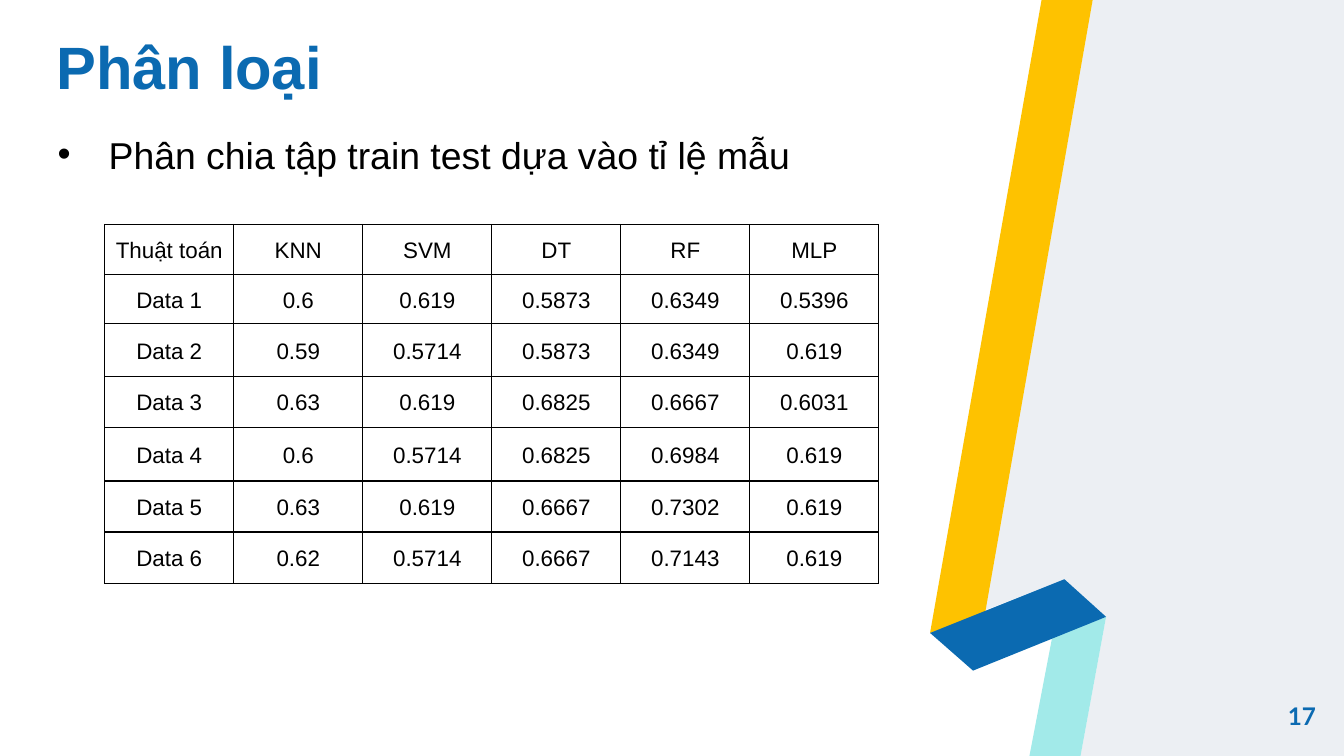
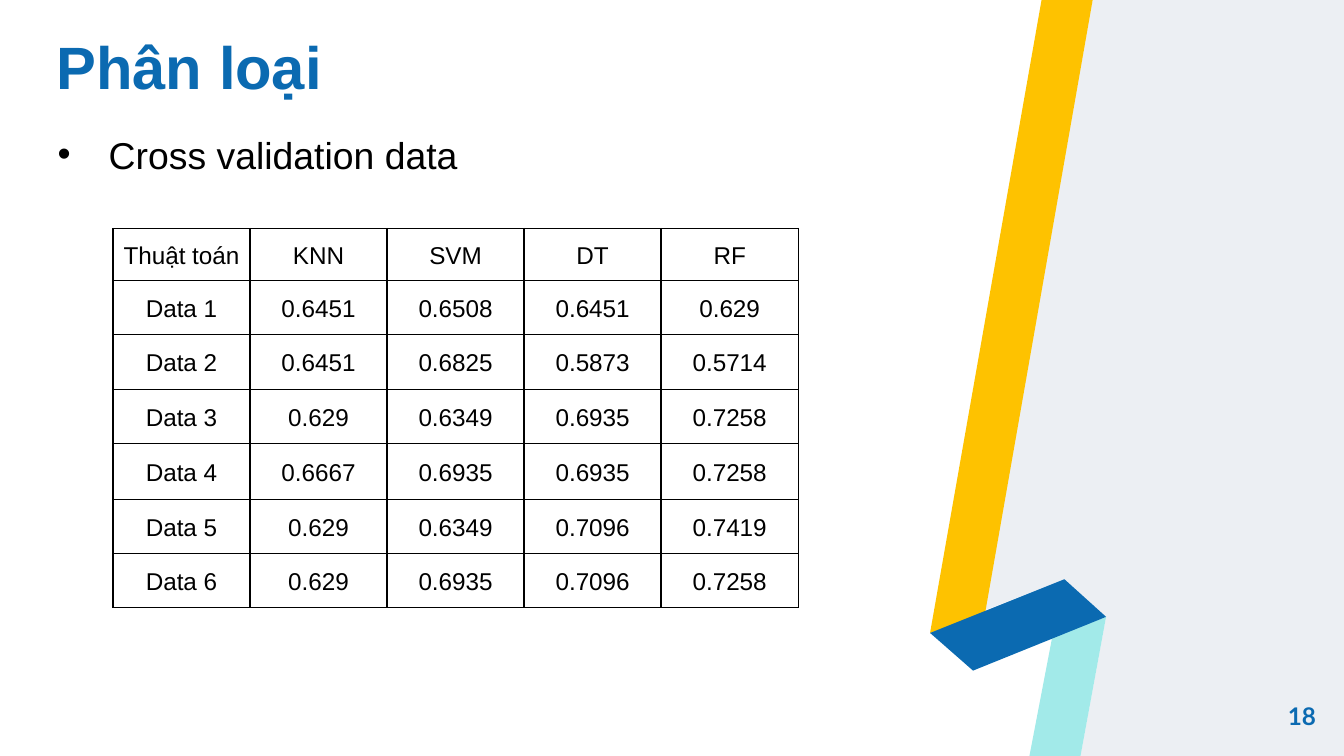
from dataclasses import dataclass

from lxml.etree import SubElement
from pptx import Presentation
from pptx.dml.color import RGBColor
from pptx.enum.text import MSO_ANCHOR, PP_ALIGN
from pptx.oxml import parse_xml
from pptx.oxml.ns import nsdecls, qn
from pptx.util import Inches, Pt


@dataclass(frozen=True)
class Theme:
    blue: str = "0B6AB1"
    yellow: str = "FEC200"
    aqua: str = "A2EAE9"
    pale: str = "ECEFF3"
    white: str = "FFFFFF"
    ink: str = "000000"
    body_font: str = "Arial"
    number_font: str = "Lato"
    title_size: int = 32
    bullet_size: int = 20
    number_size: int = 13
    border: float = 0.75


class Deck:
    def __init__(self, theme):
        self.theme = theme
        self.presentation = Presentation()
        self.presentation.slide_width = Inches(10)
        self.presentation.slide_height = Inches(5.625)
        self.slide = None

    def start_slide(self, title, number):
        theme = self.theme
        self.slide = self.presentation.slides.add_slide(self.presentation.slide_layouts[6])
        backdrop = self.slide.background.fill
        backdrop.solid()
        backdrop.fore_color.rgb = RGBColor.from_string(theme.white)
        self.ribbon()
        self.page_number(number)
        self.title(title)

    def ribbon(self):
        theme = self.theme
        bottom = 5.625
        fold_left, fold_top, fold_right = (6.92, 4.71), (7.92, 4.31), (8.23, 4.59)
        self.polygon(theme.pale, (8.13, 0), (7.33, 4.54), fold_top, fold_right,
                     (8.04, bottom), (10, bottom), (10, 0))
        self.polygon(theme.yellow, (7.75, 0), (8.13, 0), (7.33, 4.56), fold_left)
        self.polygon(theme.aqua, (7.66, bottom), (7.83, 4.74), fold_right, (8.04, bottom))
        self.polygon(theme.blue, fold_left, fold_top, fold_right, (7.24, 4.99))

    def polygon(self, color, *points):
        start, *rest = [(Inches(x), Inches(y)) for x, y in points]
        outline = self.slide.shapes.build_freeform(*start)
        outline.add_line_segments(rest)
        band = outline.convert_to_shape()
        band.shadow.inherit = False
        band.fill.solid()
        band.fill.fore_color.rgb = RGBColor.from_string(color)
        band.line.fill.background()

    def add_text(self, paragraph, text, size, color, font=None, bold=False):
        run = paragraph.add_run()
        run.text = text
        run.font.name = font or self.theme.body_font
        run.font.size = Pt(size)
        run.font.bold = bold
        run.font.color.rgb = RGBColor.from_string(color)

    def text_frame(self, left, top, width, height, anchor, margins=(0, 0, 0, 0)):
        box = self.slide.shapes.add_textbox(*map(Inches, (left, top, width, height)))
        frame = box.text_frame
        frame.word_wrap = True
        frame.vertical_anchor = anchor
        self.set_margins(frame, *margins)
        return frame

    def set_margins(self, holder, left, top, right, bottom):
        holder.margin_left, holder.margin_top = Inches(left), Inches(top)
        holder.margin_right, holder.margin_bottom = Inches(right), Inches(bottom)

    def title(self, text):
        theme = self.theme
        heading = self.text_frame(0.42, 0.32, 6.49, 0.43, MSO_ANCHOR.BOTTOM).paragraphs[0]
        heading.line_spacing = 0.8
        self.add_text(heading, text, theme.title_size, theme.blue, bold=True)

    def page_number(self, number):
        theme = self.theme
        footer = self.text_frame(9.19, 5.11, 0.6, 0.43, MSO_ANCHOR.MIDDLE).paragraphs[0]
        footer.alignment = PP_ALIGN.RIGHT
        self.add_text(footer, str(number), theme.number_size, theme.blue, theme.number_font, True)

    def bullet(self, text):
        theme = self.theme
        point = self.text_frame(0.33, 0.53, 8.69, 4.58, MSO_ANCHOR.TOP,
                                (0.1, 0.45, 0.1, 0.05)).paragraphs[0]
        properties = point._p.get_or_add_pPr()
        properties.set("marL", str(Inches(0.38)))
        properties.set("indent", str(Inches(-0.38)))
        bullet_color = SubElement(properties, qn("a:buClr"))
        SubElement(bullet_color, qn("a:srgbClr"), val=theme.ink)
        SubElement(properties, qn("a:buFont"), typeface=theme.body_font)
        SubElement(properties, qn("a:buChar"), char="•")
        self.add_text(point, text, theme.bullet_size, theme.ink)

    def table(self, left, top, column_width, row_heights, size, rows):
        columns = len(rows[0])
        frame = self.slide.shapes.add_table(
            len(rows), columns, Inches(left), Inches(top),
            Inches(column_width * columns), Inches(sum(row_heights)))
        table = frame.table
        table.first_row = table.horz_banding = False
        for column in table.columns:
            column.width = Inches(column_width)
        for row, height, values in zip(table.rows, row_heights, rows):
            row.height = Inches(height)
            for cell, value in zip(row.cells, values):
                self.fill_cell(cell, value, size)

    def fill_cell(self, cell, value, size):
        cell.fill.background()
        cell.vertical_anchor = MSO_ANCHOR.MIDDLE
        self.set_margins(cell, 0.07, 0, 0.07, 0)
        paragraph = cell.text_frame.paragraphs[0]
        paragraph.alignment = PP_ALIGN.CENTER
        paragraph.line_spacing = 1.1
        self.add_text(paragraph, value, size, self.theme.ink)
        properties = cell._tc.get_or_add_tcPr()
        for position, side in enumerate("LRTB"):
            properties.insert(position, parse_xml(
                f'<a:ln{side} {nsdecls("a")} w="{Pt(self.theme.border)}"><a:solidFill>'
                f'<a:srgbClr val="{self.theme.ink}"/></a:solidFill></a:ln{side}>'))


def score_rows(algorithms, scores):
    data = [[f"Data {index}", *line.split()] for index, line in enumerate(scores, 1)]
    return [["Thuật toán", *algorithms], *data]


def main():
    deck = Deck(Theme())
    algorithms = ["KNN", "SVM", "DT", "RF", "MLP"]

    deck.start_slide("Phân loại", 17)
    deck.bullet("Phân chia tập train test dựa vào tỉ lệ mẫu")
    split_scores = [
        "0.6 0.619 0.5873 0.6349 0.5396",
        "0.59 0.5714 0.5873 0.6349 0.619",
        "0.63 0.619 0.6825 0.6667 0.6031",
        "0.6 0.5714 0.6825 0.6984 0.619",
        "0.63 0.619 0.6667 0.7302 0.619",
        "0.62 0.5714 0.6667 0.7143 0.619",
    ]
    deck.table(0.78, 1.67, 0.96, [0.37, 0.37, 0.39, 0.38, 0.4, 0.38, 0.38], 12,
               score_rows(algorithms, split_scores))

    deck.start_slide("Phân loại", 18)
    deck.bullet("Cross validation data")
    validation_scores = [
        "0.6451 0.6508 0.6451 0.629",
        "0.6451 0.6825 0.5873 0.5714",
        "0.629 0.6349 0.6935 0.7258",
        "0.6667 0.6935 0.6935 0.7258",
        "0.629 0.6349 0.7096 0.7419",
        "0.629 0.6935 0.7096 0.7258",
    ]
    deck.table(0.84, 1.7, 1.02, [0.39, 0.4, 0.41, 0.4, 0.42, 0.4, 0.4], 13,
               score_rows(algorithms[:4], validation_scores))

    deck.presentation.save("out.pptx")


if __name__ == "__main__":
    main()
